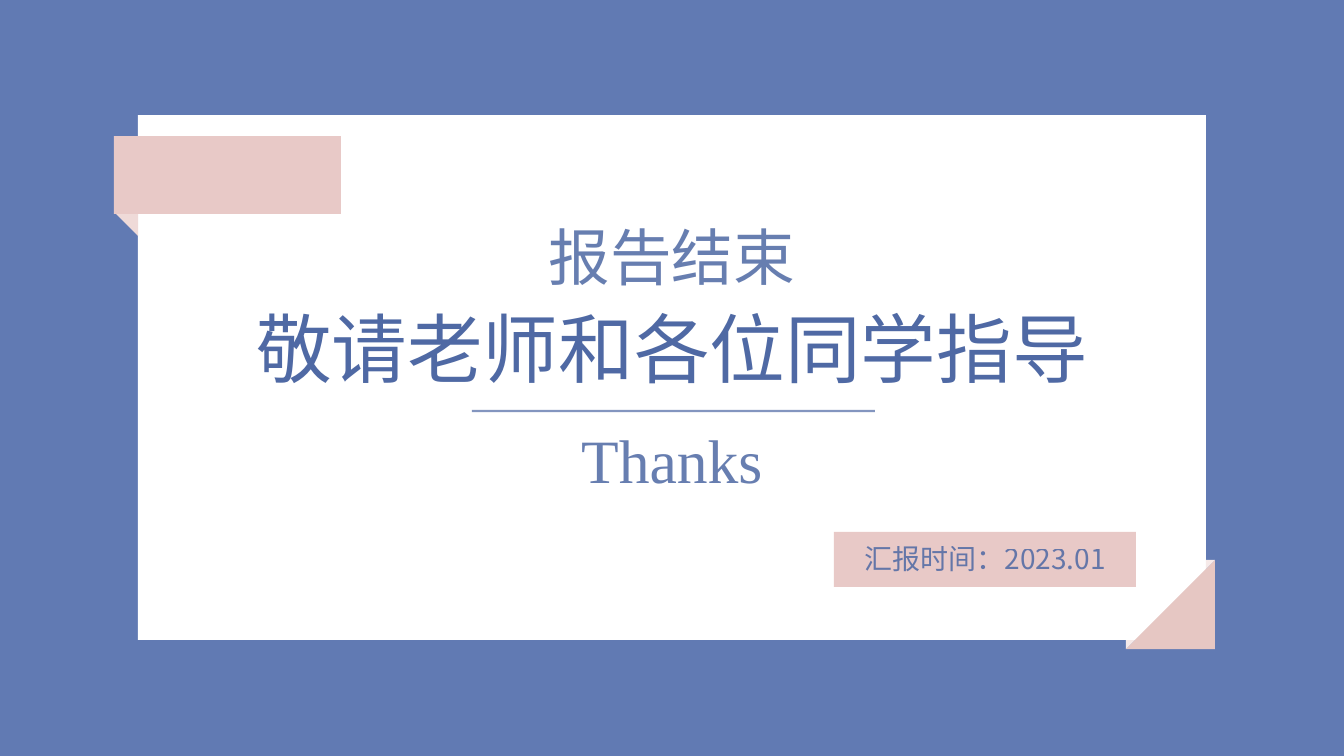
from lxml import etree
from pptx import Presentation
from pptx import util as u
from pptx.dml.color import RGBColor
from pptx.enum import shapes, text
from pptx.oxml.ns import qn

PX = 914400 / 100.8
BLUE = RGBColor(0x61, 0x7A, 0xB3)
INK = RGBColor(0x4F, 0x69, 0xA4)
WHITE = RGBColor(0xFF, 0xFF, 0xFF)
TAPE = RGBColor(0xE8, 0xC9, 0xC7)
TAPE_FOLD = RGBColor(0xEF, 0xDA, 0xD8)
CORNER = RGBColor(0xE6, 0xC7, 0xC3)
CORNER_FOLD = RGBColor(0xF6, 0xEA, 0xE9)
CJK, SERIF = "Noto Sans CJK SC", "Times New Roman"


def emu(*pixels):
    return [u.Emu(round(p * PX)) for p in pixels]


def paint(shape, color):
    shape.shadow.inherit = False
    shape.fill.solid()
    shape.fill.fore_color.rgb = color
    shape.line.fill.background()


def block(slide, box, color):
    paint(slide.shapes.add_shape(shapes.MSO_SHAPE.RECTANGLE, *emu(*box)), color)


def triangle(slide, points, color):
    builder = slide.shapes.build_freeform(*points[0], scale=PX)
    builder.add_line_segments(points[1:], close=True)
    paint(builder.convert_to_shape(), color)


def set_alpha(fill_parent, percent):
    color = next(fill_parent.iter(qn("a:srgbClr")))
    etree.SubElement(color, qn("a:alpha"), val=str(percent * 1000))


def write(shape, box, words, size, font=CJK, alpha=100):
    shape.left, shape.top, shape.width, shape.height = emu(*box)
    frame = shape.text_frame
    frame.text = words
    frame.word_wrap = True
    frame.auto_size = text.MSO_AUTO_SIZE.NONE
    frame.vertical_anchor = text.MSO_ANCHOR.TOP
    frame.margin_left = frame.margin_right = frame.margin_top = frame.margin_bottom = 0
    line = frame.paragraphs[0]
    line.alignment = text.PP_ALIGN.CENTER
    line.line_spacing = u.Pt(size * 1.2)
    line.space_before = u.Pt(0)
    run = line.runs[0]
    run.font.size = u.Pt(size)
    run.font.name = font
    run.font.color.rgb = INK
    properties = run.font._element
    etree.SubElement(properties, qn("a:ea"), typeface=font)
    if alpha < 100:
        set_alpha(properties, alpha)


def add_label(slide, box, *args, **kwargs):
    write(slide.shapes.add_textbox(*emu(*box)), box, *args, **kwargs)


def closing_words(slide, left, top, width):
    """Subtitle, heading, rule and thanks, stacked on one centre line."""
    subtitle, heading = slide.placeholders[1], slide.shapes.title
    for placeholder in (heading, subtitle):  # bring in front of the card
        slide.shapes._spTree.append(placeholder._element)
    write(subtitle, (left, top, width, 73), "报告结束", 44, alpha=85)
    write(heading, (left, top + 83, width, 88), "敬请老师和各位同学指导", 54)

    inset = 239
    rule = slide.shapes.add_connector(
        shapes.MSO_CONNECTOR.STRAIGHT,
        *emu(left + inset, top + 192, left + width - inset + 3, top + 192))
    rule.line.color.rgb = INK
    rule.line.width = u.Pt(1.5)
    set_alpha(rule.line._ln, 70)
    etree.SubElement(rule._element.spPr, qn("a:effectLst"))

    add_label(slide, (left, top + 203, width, 73), "Thanks", 44, SERIF, alpha=85)


def tape_strip(slide, left, top, width, height, overhang):
    """Tape whose end folds behind the card's left edge."""
    bottom, edge = top + height, left + overhang
    triangle(slide, [(left, bottom - 2), (edge, bottom - 2),
                     (edge, bottom - 2 + overhang)], TAPE_FOLD)
    block(slide, (left, top, width, height), TAPE)


def folded_corner(slide, left, top, side, fold):
    """Corner wrap with a small fold at both ends."""
    right, bottom = left + side, top + side
    triangle(slide, [(right, top), (right, bottom), (left, bottom)], CORNER)
    for x, y in ((right - fold, top), (left, bottom - fold)):
        triangle(slide, [(x, y), (x + fold, y), (x, y + fold)], CORNER_FOLD)


def date_tag(slide, left, top, width, height):
    block(slide, (left, top, width, height), TAPE)
    add_label(slide, (left + 12, top + 10, width - 24, height - 20),
              "汇报时间：2023.01", 20, alpha=85)


def closing_slide(deck):
    slide = deck.slides.add_slide(deck.slide_layouts[0])
    slide.background.fill.solid()
    slide.background.fill.fore_color.rgb = BLUE
    left, top, width, height = 138, 115, 1068, 525
    right, bottom = left + width, top + height
    block(slide, (left, top, width, height), WHITE)
    closing_words(slide, left + 95, top + 104, width - 190)
    folded_corner(slide, right - 80, bottom - 80, side=89, fold=9)
    tape_strip(slide, left - 24, top + 21, 227, 78, overhang=24)
    date_tag(slide, right - 372, bottom - 108, 302, 55)


deck = Presentation()
deck.slide_width, deck.slide_height = emu(1344, 756)
closing_slide(deck)
deck.save("out.pptx")
